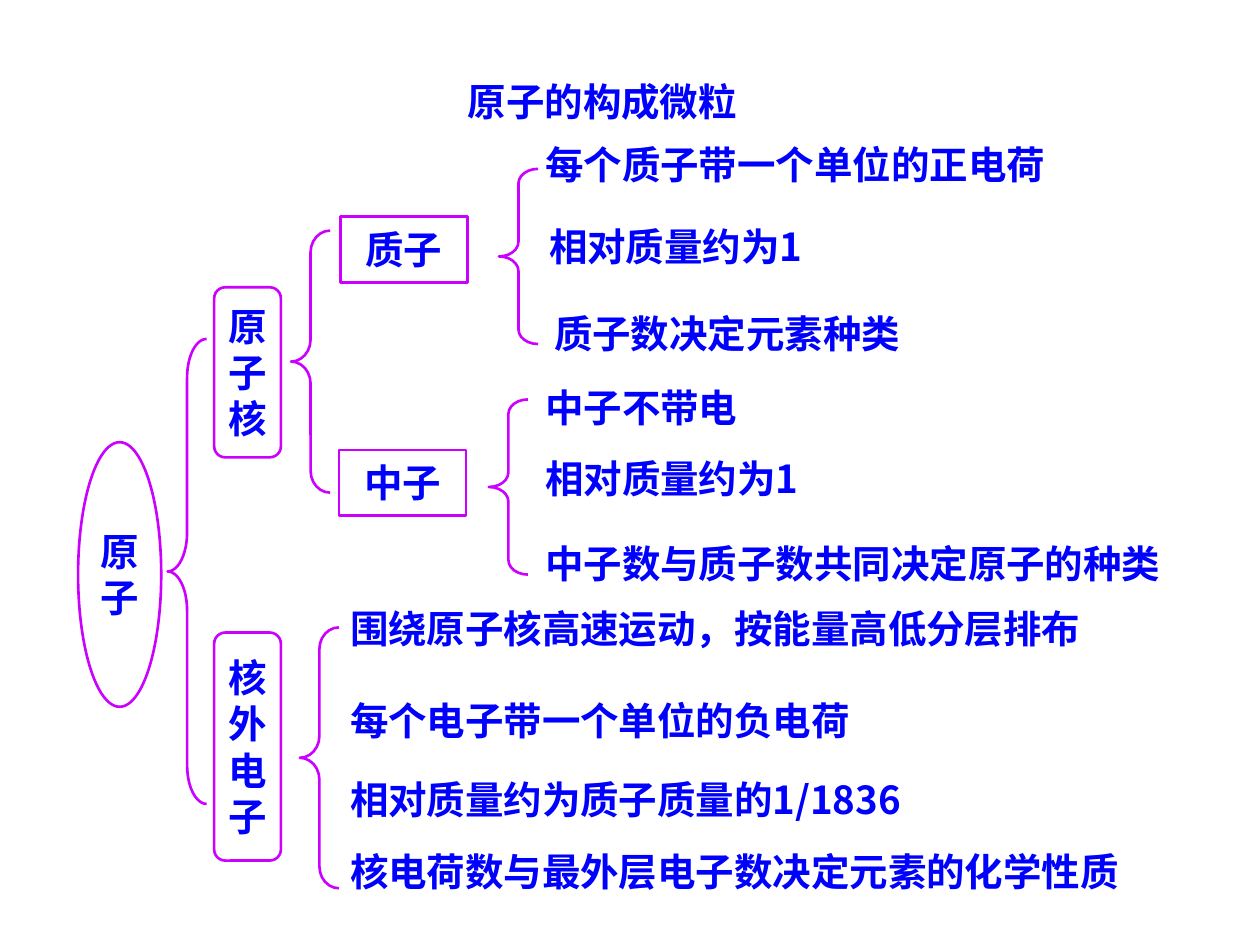
"""Build a bracket diagram of the particles that make up an atom."""
from typing import NamedTuple

from lxml.etree import SubElement
from pptx import Presentation
from pptx.dml.color import RGBColor
from pptx.enum.shapes import MSO_SHAPE as Shape
from pptx.enum.text import MSO_ANCHOR as Anchor, MSO_AUTO_SIZE as AutoSize, PP_ALIGN as Align
from pptx.oxml.ns import qn
from pptx.util import Inches, Pt

BLUE, PURPLE = "0000FF", "CC00FF"
ARIAL, NOTO = "Arial", "Noto Sans CJK SC"
LINE_HEIGHT = 0.47
BRACE_WIDTH = 0.31


class Node(NamedTuple):
    kind: int
    left: float
    top: float
    width: float
    height: float
    lines: list[str]


class Brace(NamedTuple):
    left: float
    top: float
    height: float


class Fact(NamedTuple):
    left: float
    top: float
    width: float
    text: str
    font: str = NOTO


NODES = [
    Node(Shape.OVAL, 0.62, 3.51, 0.66, 2.1, list("原子")),
    Node(Shape.ROUNDED_RECTANGLE, 1.7, 2.28, 0.53, 1.35, list("原子核")),
    Node(Shape.ROUNDED_RECTANGLE, 1.7, 5.02, 0.53, 1.81, list("核外电子")),
    Node(Shape.RECTANGLE, 2.7, 1.72, 1.01, 0.52, ["质子"]),
    Node(Shape.RECTANGLE, 2.69, 3.57, 1.01, 0.52, ["中子"]),
]
BRACES = [
    Brace(1.33, 2.69, 3.69),
    Brace(2.31, 1.83, 2.08),
    Brace(2.38, 4.98, 2.07),
    Brace(3.96, 1.34, 1.39),
    Brace(3.88, 3.17, 1.39),
]
FACTS = [
    Fact(4.23, 1.07, 4.26, "每个质子带一个单位的正电荷", ARIAL),
    Fact(4.26, 1.72, 4.26, "相对质量约为1"),
    Fact(4.3, 2.41, 4.26, "质子数决定元素种类"),
    Fact(4.23, 3, 4.26, "中子不带电"),
    Fact(4.23, 3.56, 4.26, "相对质量约为1"),
    Fact(4.23, 4.24, 5.43, "中子数与质子数共同决定原子的种类"),
    Fact(2.68, 4.75, 6.56, "围绕原子核高速运动，按能量高低分层排布"),
    Fact(2.68, 5.48, 6.56, "每个电子带一个单位的负电荷"),
    Fact(2.68, 6.11, 6.56, "相对质量约为质子质量的1/1836"),
    Fact(2.68, 6.68, 6.56, "核电荷数与最外层电子数决定元素的化学性质"),
]


def color(value: str) -> RGBColor:
    return RGBColor.from_string(value)


def apply(target, values: dict) -> None:
    for name, value in values.items():
        setattr(target, name, value)


def write(shape, lines: list[str], font: str, align: int, frame_format: dict) -> None:
    frame = shape.text_frame
    frame.text = "\n".join(lines)
    apply(frame, frame_format)
    for paragraph in frame.paragraphs:
        apply(paragraph, {"alignment": align, "space_before": Pt(0)})
        for run in paragraph.runs:
            apply(run.font, {"size": Pt(22), "bold": True, "name": font})
            run.font.color.rgb = color(BLUE)
            SubElement(run.font._element, qn("a:ea")).set("typeface", NOTO)


def draw_outline(slide, kind: int, left: float, top: float, width: float, height: float):
    shape = slide.shapes.add_shape(kind, *map(Inches, (left, top, width, height)))
    shape.shadow.inherit = False
    shape.fill.background()
    shape.line.color.rgb = color(PURPLE)
    shape.line.width = Pt(1.5)
    return shape


def draw_title(slide, text: str) -> None:
    title = slide.shapes.title
    apply(title, {"left": Inches(0.96), "top": Inches(0.57),
                  "width": Inches(7.64), "height": Inches(LINE_HEIGHT)})
    write(title, [text], ARIAL, Align.CENTER,
          {"vertical_anchor": Anchor.TOP, "word_wrap": True, "auto_size": AutoSize.NONE})


def draw_node(slide, node: Node) -> None:
    shape = draw_outline(slide, *node[:5])
    write(shape, node.lines, ARIAL, Align.CENTER,
          {"vertical_anchor": Anchor.MIDDLE, "word_wrap": False})


def draw_brace(slide, brace: Brace) -> None:
    shape = draw_outline(slide, Shape.LEFT_BRACE, brace.left, brace.top, BRACE_WIDTH, brace.height)
    shape.adjustments[0] = brace.height / 12 / BRACE_WIDTH


def draw_fact(slide, fact: Fact) -> None:
    box = slide.shapes.add_textbox(*map(Inches, (fact.left, fact.top, fact.width, LINE_HEIGHT)))
    write(box, [fact.text], fact.font, Align.LEFT,
          {"word_wrap": True, "auto_size": AutoSize.SHAPE_TO_FIT_TEXT})


def main() -> None:
    presentation = Presentation()
    apply(presentation, {"slide_width": Inches(10), "slide_height": Inches(7.5)})
    slide = presentation.slides.add_slide(presentation.slide_layouts[5])
    draw_title(slide, "原子的构成微粒")
    for node in NODES:
        draw_node(slide, node)
    for brace in BRACES:
        draw_brace(slide, brace)
    for fact in FACTS:
        draw_fact(slide, fact)
    presentation.save("out.pptx")


if __name__ == "__main__":
    main()
